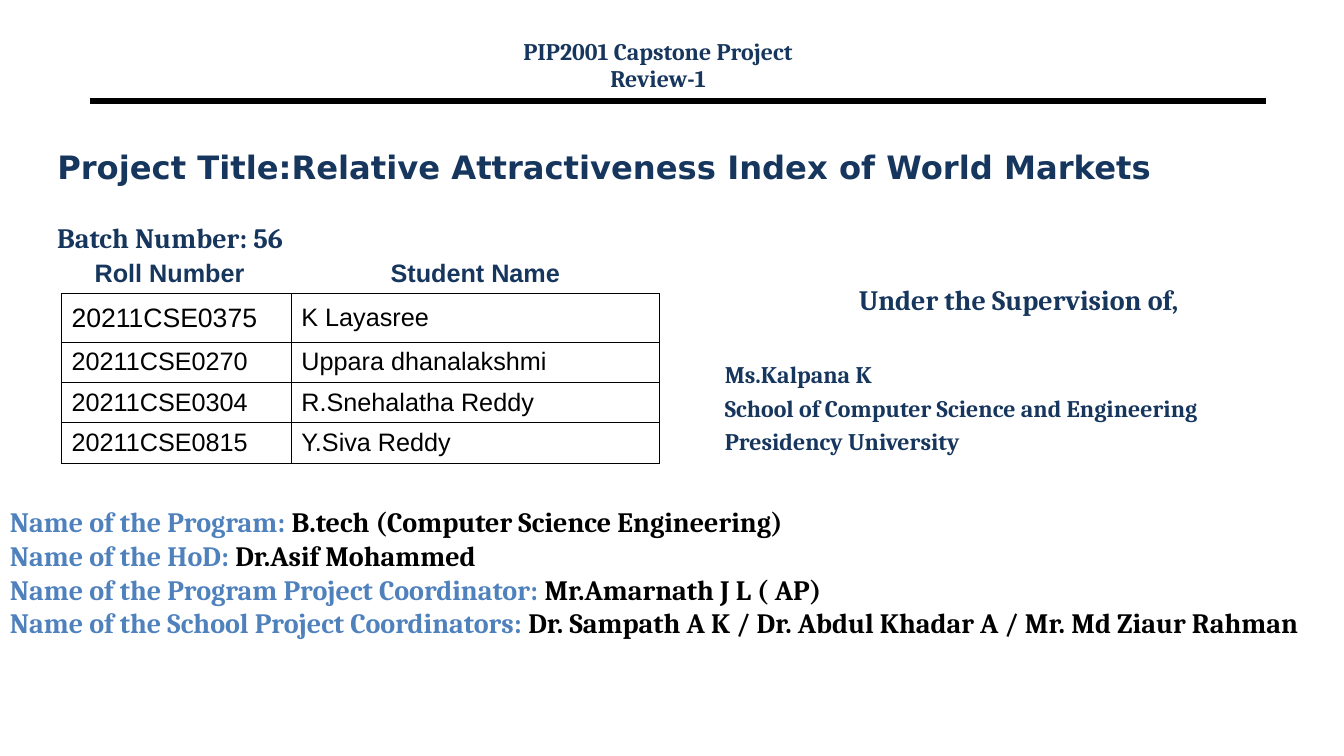
import pptx
import pptx.dml.color
import pptx.enum.shapes
import pptx.enum.text
import pptx.oxml
import pptx.oxml.ns
import pptx.util
from lxml import etree

Cm, Pt = pptx.util.Cm, pptx.util.Pt
ALIGN = pptx.enum.text.PP_ALIGN
ANCHOR = pptx.enum.text.MSO_ANCHOR
NAVY, BLUE, BLACK = "17365D", "4F81BD", "000000"

# Content
PROJECT_TITLE = "Project Title:Relative Attractiveness Index of World Markets"
REVIEW_HEADING = ["PIP2001 Capstone Project", "Review-1"]
BATCH = "Batch Number: 56"
STUDENTS = [
    ("Roll Number", "Student Name"),
    ("20211CSE0375", "K Layasree"),
    ("20211CSE0270", "Uppara dhanalakshmi"),
    ("20211CSE0304", "R.Snehalatha Reddy"),
    ("20211CSE0815", "Y.Siva Reddy"),
]
SUPERVISION = [
    "Under the Supervision of,",
    "Ms.Kalpana K",
    "School of Computer Science and Engineering",
    "Presidency University",
]
STAFF = [
    ("Name of the Program: ", "B.tech (Computer Science Engineering)"),
    ("Name of the HoD: ", "Dr.Asif Mohammed"),
    ("Name of the Program Project Coordinator: ", "Mr.Amarnath J L ( AP)"),
    ("Name of the School Project Coordinators: ",
     "Dr. Sampath A K / Dr. Abdul Khadar A / Mr. Md Ziaur Rahman"),
]
COLUMN_WIDTHS = [5.79, 9.27]
ROW_HEIGHTS = [0.97, 1.22, 0.97, 0.97, 0.97]


def color(value):
    return pptx.dml.color.RGBColor.from_string(value)


def set_font(font, size, value=NAVY, name="Cambria", bold=True):
    font.name, font.size, font.bold = name, Pt(size), bold
    font.color.rgb = color(value)


def add_text(slide, left, top, width, height, lines, size, align=ALIGN.LEFT):
    """Each line is a plain string or a (label, value) pair."""
    box = slide.shapes.add_textbox(Cm(left), Cm(top), Cm(width), Cm(height))
    frame = box.text_frame
    frame.word_wrap = True
    for index, line in enumerate(lines):
        paragraph = frame.add_paragraph() if index else frame.paragraphs[0]
        paragraph.alignment = align
        set_font(paragraph.font, size)
        if isinstance(line, str):
            paragraph.text = line
            continue
        for text, value in zip(line, (BLUE, BLACK)):
            run = paragraph.add_run()
            run.text = text
            set_font(run.font, size, value)
    return frame.paragraphs


def set_borders(cell, sides):
    properties = cell._tc.get_or_add_tcPr()
    for position, side in enumerate(sides):
        border = pptx.oxml.parse_xml(
            f'<a:ln{side} {pptx.oxml.ns.nsdecls("a")} w="9525"><a:solidFill>'
            f'<a:srgbClr val="{BLACK}"/></a:solidFill></a:ln{side}>')
        properties.insert(position, border)


def add_students(slide):
    frame = slide.shapes.add_table(
        len(STUDENTS), len(COLUMN_WIDTHS), Cm(1.55), Cm(6.38),
        Cm(sum(COLUMN_WIDTHS)), Cm(sum(ROW_HEIGHTS)))
    table = frame.table
    table.horz_banding = False
    for column, width in zip(table.columns, COLUMN_WIDTHS):
        column.width = Cm(width)
    for row, height in zip(table.rows, ROW_HEIGHTS):
        row.height = Cm(height)
    for r, student in enumerate(STUDENTS):
        header = r == 0
        for c, text in enumerate(student):
            cell = table.cell(r, c)
            cell.text = text
            cell.vertical_anchor = ANCHOR.MIDDLE
            cell.fill.background()
            paragraph = cell.text_frame.paragraphs[0]
            paragraph.alignment = ALIGN.CENTER if header else ALIGN.LEFT
            size = 19 if (r, c) == (1, 0) else 18
            set_font(paragraph.font, size, NAVY if header else BLACK, "Arial", header)
            set_borders(cell, "B" if header else "LRTB")
    table.cell(0, 0).margin_right = Cm(0.6)


def main():
    presentation = pptx.Presentation()
    presentation.slide_width, presentation.slide_height = Cm(33.86), Cm(19.05)
    slide = presentation.slides.add_slide(presentation.slide_layouts[5])

    # Heading and rule
    heading = add_text(slide, 11.07, 0.94, 11.02, 1.52, REVIEW_HEADING, 17, ALIGN.CENTER)
    for paragraph in heading:
        paragraph.line_spacing = 0.8
    heading[1].space_before = Pt(3.1)
    rule = slide.shapes.add_connector(
        pptx.enum.shapes.MSO_CONNECTOR.STRAIGHT, Cm(2.26), Cm(2.54), Cm(31.9), Cm(2.54))
    rule.line.color.rgb = color(BLACK)
    rule.line.width = Pt(4.5)
    etree.SubElement(rule._element.spPr, pptx.oxml.ns.qn("a:effectLst"))

    # Project title
    title = slide.shapes.title
    title.left, title.top, title.width, title.height = Cm(1.19), Cm(3.45), Cm(31.65), Cm(1.5)
    title.text_frame.text = PROJECT_TITLE
    title.text_frame.auto_size = pptx.enum.text.MSO_AUTO_SIZE.NONE
    title.text_frame.vertical_anchor = ANCHOR.MIDDLE
    paragraph = title.text_frame.paragraphs[0]
    paragraph.alignment = ALIGN.LEFT
    set_font(paragraph.font, 23, name="DejaVu Sans")

    # Batch and students
    add_text(slide, 1.19, 5.44, 11.02, 1.52, [BATCH], 20)
    add_students(slide)

    # Supervisor
    supervision = add_text(slide, 18.01, 6.99, 15.32, 5.61, SUPERVISION, 17)
    supervision[0].alignment = ALIGN.CENTER
    supervision[0].font.size = Pt(20)
    for paragraph, space in zip(supervision[1:], (31.5, 3.4, 3.4)):
        paragraph.space_before = Pt(space)

    # Programme staff
    add_text(slide, 0, 12.6, 33.86, 4.34, STAFF, 20)

    presentation.save("out.pptx")


if __name__ == "__main__":
    main()
